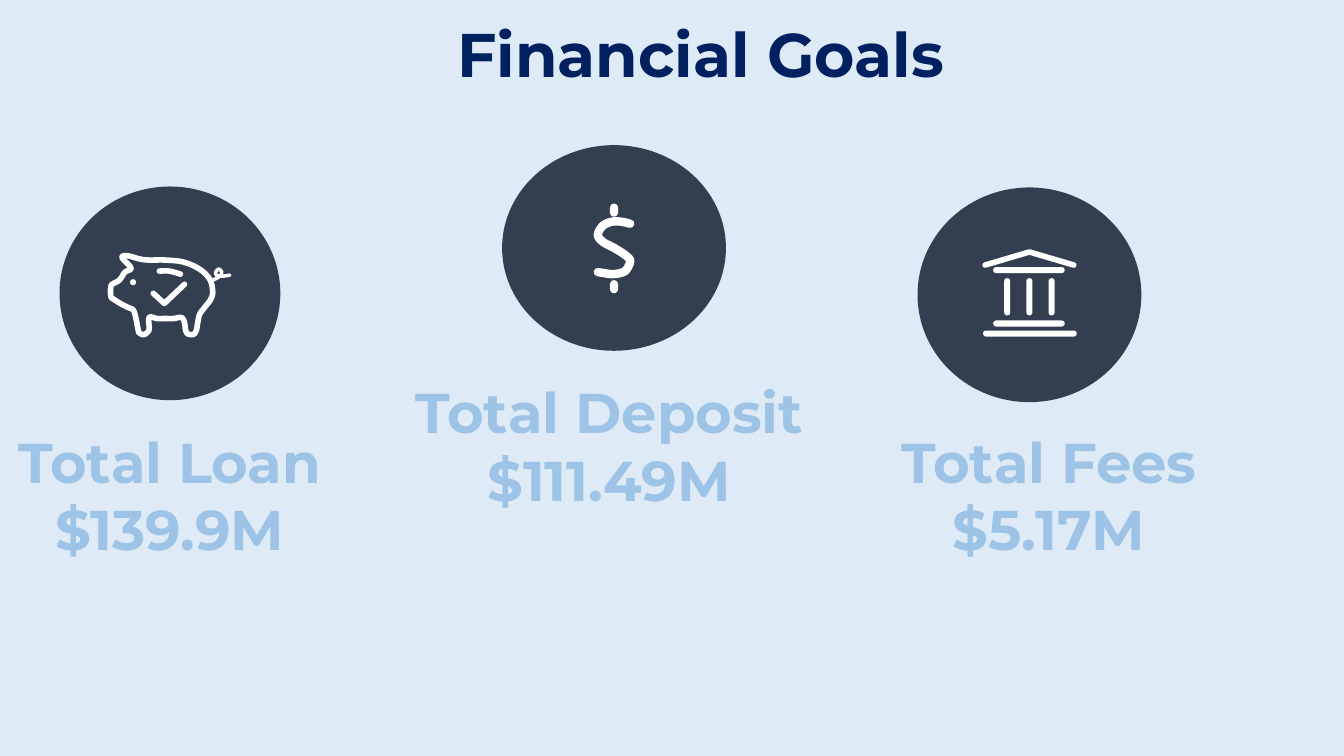
from lxml import etree
from pptx import Presentation
from pptx.dml.color import RGBColor
from pptx.enum.shapes import MSO_SHAPE
from pptx.enum.text import MSO_ANCHOR, PP_ALIGN
from pptx.oxml.ns import qn
from pptx.util import Inches, Pt

OVAL = MSO_SHAPE.OVAL
ROUNDED = MSO_SHAPE.ROUNDED_RECTANGLE
CENTER = PP_ALIGN.CENTER
MIDDLE = MSO_ANCHOR.MIDDLE
TITLE_ONLY = 5

COLORS = {
    "background": "DEEBF7",
    "title": "002060",
    "goal": "9DC3E6",
    "goal_outline": "2F5597",
    "disc": "333F50",
    "icon": "FFFFFF",
}

# Goal label, left and top of its text
GOALS = [
    (("Total Loan", "$139.9M"), -0.7, 4.19),
    (("Total Deposit", "$111.49M"), 3.66, 3.7),
    (("Total Fees", "$5.17M"), 8.02, 4.19),
]

# Centre lines of the icon strokes, in inches
PIG_BODY = [
    (1.22, 2.54), (1.28, 2.54), (1.39, 2.57), (1.48, 2.58), (1.64, 2.58),
    (1.82, 2.6), (1.98, 2.67), (2.08, 2.77), (2.11, 2.89), (2.09, 2.97),
    (2.03, 3.05), (1.98, 3.12), (1.96, 3.21), (1.95, 3.27), (1.93, 3.31),
    (1.9, 3.32), (1.86, 3.31), (1.84, 3.27), (1.83, 3.2), (1.8, 3.15),
    (1.72, 3.16), (1.64, 3.16), (1.56, 3.16), (1.48, 3.15), (1.48, 3.26),
    (1.46, 3.3), (1.42, 3.32), (1.38, 3.3), (1.37, 3.27), (1.33, 3.09),
    (1.27, 3.05), (1.21, 3.02), (1.13, 2.97), (1.1, 2.94), (1.1, 2.84),
    (1.13, 2.81), (1.17, 2.79), (1.2, 2.76), (1.24, 2.7), (1.3, 2.66),
    (1.22, 2.57),
]
PIG_TAIL = [
    (2.08, 2.79), (2.13, 2.77), (2.18, 2.74), (2.2, 2.7), (2.17, 2.67),
    (2.14, 2.7), (2.15, 2.73), (2.2, 2.74), (2.28, 2.73),
]
COIN_SLOT = [(1.58, 2.69), (1.68, 2.69), (1.79, 2.72)]
CHECK_MARK = [(1.52, 2.91), (1.63, 3.01), (1.83, 2.82)]
DOLLAR_CURVE = [
    (6.25, 2.22), (6.16, 2.2), (6.07, 2.2), (5.98, 2.24), (5.93, 2.33),
    (5.98, 2.4), (6.09, 2.46), (6.2, 2.53), (6.25, 2.59), (6.21, 2.68),
    (6.15, 2.71), (6.07, 2.72), (5.99, 2.71), (5.93, 2.7),
]
BANK_ROOF = [(9.77, 2.63), (10.21, 2.5), (10.65, 2.63)]


def rgb(name):
    return RGBColor.from_string(COLORS[name])


def write_lines(text_frame, lines, font_format, line_spacing=None):
    text_frame.word_wrap = True
    for index, line in enumerate(lines):
        paragraph = text_frame.paragraphs[0] if index == 0 else text_frame.add_paragraph()
        paragraph.alignment = CENTER
        paragraph.line_spacing = line_spacing
        run = paragraph.add_run()
        run.text = line
        for name, value in font_format.items():
            setattr(run.font, name, value)


def add_title(slide):
    title = slide.shapes.title
    place = {"left": 3.84, "top": 0.19, "width": 6.22, "height": 0.77}
    for name, value in place.items():
        setattr(title, name, Inches(value))
    write_lines(title.text_frame, ["Financial Goals"],
                {"name": "Montserrat", "size": Pt(44), "bold": True}, 0.9)
    title.text_frame.vertical_anchor = MIDDLE
    title.text_frame.paragraphs[0].runs[0].font.color.rgb = rgb("title")


def add_goal(slide, lines, left, top):
    box = slide.shapes.add_textbox(Inches(left), Inches(top), Inches(4.77), Inches(1.45))
    write_lines(box.text_frame, lines,
                {"name": "Montserrat", "size": Pt(40), "bold": True})
    for paragraph in box.text_frame.paragraphs:
        run = paragraph.runs[0]
        run.font.color.rgb = rgb("goal")
        # Thin outline around the letters
        outline = etree.Element(qn("a:ln"), w=str(Pt(0.75)))
        fill = etree.SubElement(outline, qn("a:solidFill"))
        etree.SubElement(fill, qn("a:srgbClr"), val=COLORS["goal_outline"])
        run.font.fill  # The outline comes before the fill
        run.font._element.insert(0, outline)


def add_filled(group, kind, left, top, width, height, color="icon"):
    shape = group.shapes.add_shape(kind, Inches(left), Inches(top),
                                   Inches(width), Inches(height))
    shape.shadow.inherit = False
    shape.fill.solid()
    shape.fill.fore_color.rgb = rgb(color)
    shape.line.fill.background()
    if kind == ROUNDED:
        shape.adjustments[0] = 0.5


def smooth(points, closed=False, steps=6):
    """Catmull-Rom curve through the points."""
    if closed:
        padded = [points[-1], *points, points[0], points[1]]
    else:
        padded = [points[0], *points, points[-1]]
    curve = []
    for a, b, c, d in zip(padded, padded[1:], padded[2:], padded[3:]):
        for step in range(steps):
            t = step / steps
            curve.append(tuple(
                q + t / 2 * (r - p + t * (2 * p - 5 * q + 4 * r - s
                                          + t * (3 * (q - r) + s - p)))
                for p, q, r, s in zip(a, b, c, d)))
    return curve if closed else curve + [points[-1]]


def add_stroke(group, points, width, closed=False):
    corners = [(Inches(x), Inches(y)) for x, y in points]
    builder = group.shapes.build_freeform(*corners[0])
    builder.add_line_segments(corners[1:], close=closed)
    shape = builder.convert_to_shape()
    shape.shadow.inherit = False
    shape.fill.background()
    shape.line.color.rgb = rgb("icon")
    shape.line.width = Pt(width)
    line = shape.element.spPr.find(qn("a:ln"))
    line.set("cap", "rnd")
    etree.SubElement(line, qn("a:round"))


def add_disc(slide, left, top, width, height):
    group = slide.shapes.add_group_shape()
    add_filled(group, OVAL, left, top, width, height, "disc")
    return group


def add_piggy_bank(slide):
    group = add_disc(slide, 0.59, 1.85, 2.19, 2.12)
    add_stroke(group, smooth(PIG_BODY, closed=True), 4, closed=True)
    add_stroke(group, smooth(PIG_TAIL), 2.5)
    add_filled(group, OVAL, 1.29, 2.77, 0.06, 0.06)
    add_stroke(group, smooth(COIN_SLOT), 4)
    add_stroke(group, CHECK_MARK, 4)


def add_dollar(slide):
    group = add_disc(slide, 4.98, 1.44, 2.22, 2.04)
    add_stroke(group, smooth(DOLLAR_CURVE), 6)
    for top in (2.02, 2.78):
        add_filled(group, ROUNDED, 6.05, top, 0.08, 0.13)


def add_bank(slide):
    group = add_disc(slide, 9.1, 1.86, 2.22, 2.13)
    for left, top, width in ((9.85, 3.18, 0.71), (9.85, 2.65, 0.71), (9.75, 3.28, 0.93)):
        add_filled(group, ROUNDED, left, top, width, 0.06)
    for column in range(3):
        add_filled(group, ROUNDED, 9.96 + 0.22 * column, 2.76, 0.06, 0.37)
    add_stroke(group, BANK_ROOF, 4)


def main():
    presentation = Presentation()
    presentation.slide_width = Inches(13.33)
    presentation.slide_height = Inches(7.5)
    slide = presentation.slides.add_slide(presentation.slide_layouts[TITLE_ONLY])
    slide.background.fill.solid()
    slide.background.fill.fore_color.rgb = rgb("background")

    # Title and goal amounts
    add_title(slide)
    for lines, left, top in GOALS:
        add_goal(slide, lines, left, top)

    # Icons
    add_piggy_bank(slide)
    add_dollar(slide)
    add_bank(slide)
    presentation.save("out.pptx")


if __name__ == "__main__":
    main()
